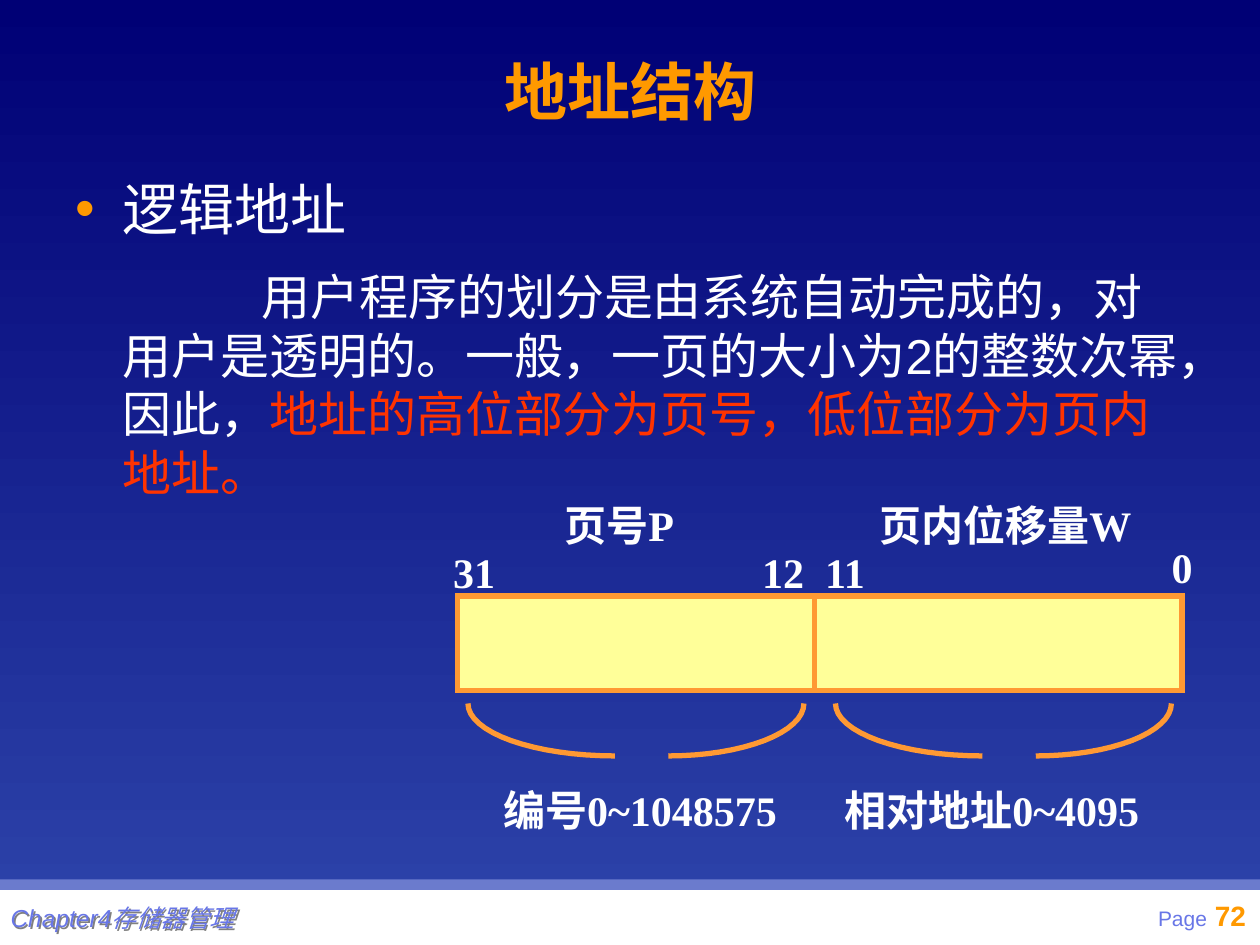
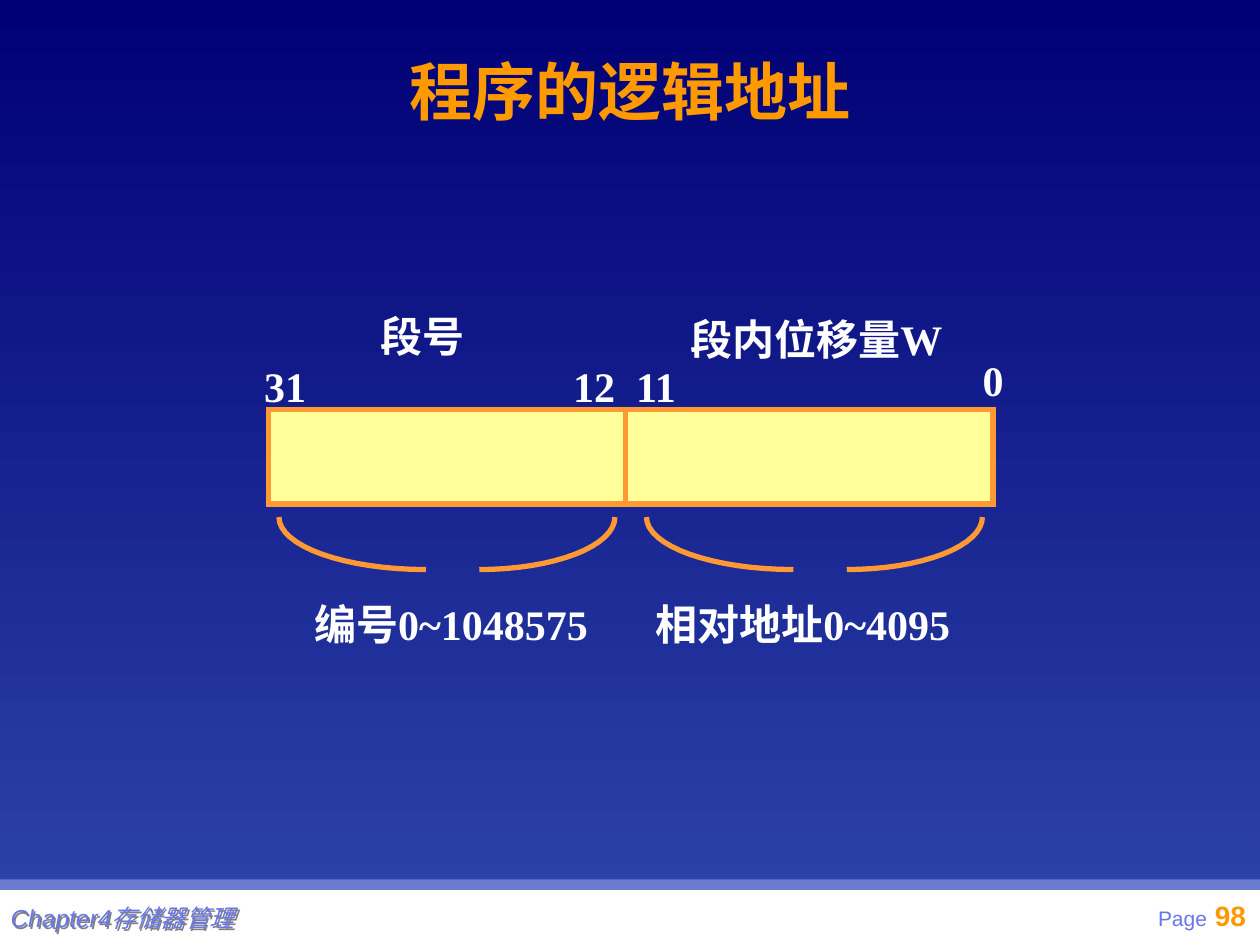
from dataclasses import dataclass
from math import cos, pi, sin

from lxml.etree import SubElement
from pptx import Presentation
from pptx.dml.color import RGBColor
from pptx.enum.shapes import MSO_CONNECTOR, MSO_SHAPE
from pptx.enum.text import MSO_ANCHOR, MSO_AUTO_SIZE, PP_ALIGN
from pptx.oxml.ns import qn
from pptx.util import Pt


@dataclass(frozen=True)
class Theme:
    sky_top: str = "000075"
    sky_bottom: str = "2E45AB"
    white: str = "FFFFFF"
    band: str = "6B7BCD"
    footer: str = "6876E7"
    shadow: str = "808080"
    accent: str = "FF9900"
    warning: str = "FF3300"
    bar: str = "FFFF99"
    outline: str = "FF9933"
    sans: str = "Arial"
    serif: str = "Times New Roman"
    chinese: str = "Noto Sans CJK SC"
    title_size: float = 36
    heading_size: float = 32
    body_size: float = 28
    label_size: float = 24
    page_size: float = 16
    chapter_size: float = 14
    small_size: float = 12
    line_width: float = 3


THEME = Theme()
WIDTH, HEIGHT = 720, 540

# Content
CHAPTER = "Chapter4存储器管理"
HEADING = "逻辑地址"
EXPLANATION = [
    ("用户程序的划分是由系统自动完成的，对用户是透明的。一般，一页的大小为2的整数次幂，因此，", THEME.white),
    ("地址的高位部分为页号，低位部分为页内地址。", THEME.warning),
]
# Diagram labels: text, left and top from the corner of the bar, width
BIT_NUMBERS = [("31", -9.5, -31.5, 38.4), ("12", 167, -31.5, 38.4),
               ("11", 203, -31.5, 38.4), ("0", 401, -34.5, 26.4)]
RANGES = [("编号0~1048575", 19, 104, 176.5), ("相对地址0~4095", 214, 104, 189)]
SLIDES = [
    {"title": "地址结构", "page": "72", "text": True, "bar": (261.4, 340.5),
     "fields": [("页号P", 54, -58.5, 83), ("页内位移量W", 234, -58.5, 164)]},
    {"title": "程序的逻辑地址", "page": "98", "text": False, "bar": (153.4, 234),
     "fields": [("段号", 57, -60, 62.4), ("段内位移量W", 234, -58.5, 164)]},
]

# Diagram measures, from the corner of the bar
BAR_WIDTH, BAR_HEIGHT, DIVIDER = 414, 54, 204
BRACE_STARTS = (6, 216)
BRACE_TOP, BRACE_HEIGHT = 61.5, 30
# Each half of a brace: centre from the brace start, signed radius
BRACE_HALVES = ((84, -84), (114.5, 77.5))
BRACE_STEPS = 16


def color(value):
    return RGBColor.from_string(value)


def style(span, size, fill, latin=THEME.sans, bold=False, italic=False):
    font = span.font
    font.size, font.bold, font.italic = Pt(size), bold, italic
    font.color.rgb = color(fill)
    font.name = latin
    SubElement(font._element, qn("a:ea"), typeface=THEME.chinese)


def add_span(para, text, *look, **more):
    span = para.add_run()
    span.text = text
    style(span, *look, **more)


def add_box(slide, left, top, width, height, margins=(7.2, 3.6)):
    box = slide.shapes.add_textbox(Pt(left), Pt(top), Pt(width), Pt(height))
    frame = box.text_frame
    frame.word_wrap = True
    frame.margin_left = frame.margin_right = Pt(margins[0])
    frame.margin_top = frame.margin_bottom = Pt(margins[1])
    return box


def add_rectangle(slide, left, top, width, height, fill, line=None):
    shape = slide.shapes.add_shape(
        MSO_SHAPE.RECTANGLE, Pt(left), Pt(top), Pt(width), Pt(height))
    shape.shadow.inherit = False
    shape.fill.solid()
    shape.fill.fore_color.rgb = color(fill)
    if line:
        set_line(shape, line)
    else:
        shape.line.fill.background()


def set_line(shape, line):
    shape.line.color.rgb = color(line)
    shape.line.width = Pt(THEME.line_width)
    SubElement(shape._element.spPr.find(qn("a:ln")), qn("a:miter"), lim="800000")


def set_background(master):
    fill = master.background.fill
    fill.gradient()
    fill.gradient_angle = 270
    for stop, value in zip(fill.gradient_stops, (THEME.sky_top, THEME.sky_bottom)):
        stop.color.rgb = color(value)


def add_footer(slide, page):
    add_rectangle(slide, 0, 507, WIDTH, 33, THEME.white)
    add_rectangle(slide, 0, 502.5, WIDTH, 6, THEME.band)

    para = add_box(slide, 455, 510, 264, 29).text_frame.paragraphs[0]
    para.alignment = PP_ALIGN.RIGHT
    para.line_spacing = Pt(19.2)
    add_span(para, "Page", THEME.small_size, THEME.footer)
    add_span(para, " ", THEME.page_size, THEME.accent)
    add_span(para, page, THEME.page_size, THEME.accent, bold=True)

    chapter = add_box(slide, 6, 516, 156, 17, margins=(0, 0))
    para = chapter.text_frame.paragraphs[0]
    para.line_spacing = Pt(17)
    add_span(para, CHAPTER, THEME.chapter_size, THEME.footer, italic=True)
    effects = SubElement(chapter._element.spPr, qn("a:effectLst"))
    shadow = SubElement(effects, qn("a:outerShdw"), dist=str(Pt(1.4)), dir="2700000")
    SubElement(shadow, qn("a:srgbClr"), val=THEME.shadow)


def set_title(slide, text):
    title = slide.shapes.title
    title.left, title.top, title.width, title.height = Pt(36), Pt(18), Pt(648), Pt(74)
    title.text_frame.text = text
    title.text_frame.vertical_anchor = MSO_ANCHOR.MIDDLE
    para = title.text_frame.paragraphs[0]
    para.alignment = PP_ALIGN.CENTER
    para.line_spacing = 0.85
    style(para.runs[0], THEME.title_size, THEME.accent, bold=True)


def set_indent(para, margin, first_line):
    properties = para._p.get_or_add_pPr()
    properties.set("marL", str(Pt(margin)))
    properties.set("indent", str(Pt(first_line)))
    return properties


def add_explanation(slide):
    frame = add_box(slide, 36, 95.8, 648, 387).text_frame

    heading = frame.paragraphs[0]
    heading.line_spacing, heading.space_after = Pt(38.8), Pt(14.6)
    properties = set_indent(heading, 27, -27)
    bullet_color = SubElement(properties, qn("a:buClr"))
    SubElement(bullet_color, qn("a:srgbClr"), val=THEME.accent)
    SubElement(properties, qn("a:buFont"), typeface=THEME.sans)
    SubElement(properties, qn("a:buChar"), char="•")
    add_span(heading, HEADING, THEME.heading_size, THEME.white)

    para = frame.add_paragraph()
    para.line_spacing = Pt(33.4)
    set_indent(para, 27, 79.4)
    for text, fill in EXPLANATION:
        add_span(para, text, THEME.body_size, fill)


def add_label(slide, text, left, top, width, line_height):
    frame = add_box(slide, left, top, width, 36).text_frame
    frame.word_wrap = False
    frame.auto_size = MSO_AUTO_SIZE.SHAPE_TO_FIT_TEXT
    para = frame.paragraphs[0]
    para.line_spacing = Pt(line_height)
    add_span(para, text, THEME.label_size, THEME.white, latin=THEME.serif, bold=True)


def add_brace_half(slide, center, top, radius):
    angles = [step * pi / 2 / BRACE_STEPS for step in range(BRACE_STEPS + 1)]
    points = [(Pt(center + radius * cos(angle)), Pt(top + BRACE_HEIGHT * sin(angle)))
              for angle in angles]
    builder = slide.shapes.build_freeform(*points[0])
    builder.add_line_segments(points[1:], close=False)
    curve = builder.convert_to_shape()
    curve.shadow.inherit = False
    curve.fill.background()
    set_line(curve, THEME.outline)


def add_address_diagram(slide, left, top, fields):
    # Bar and divider
    add_rectangle(slide, left, top, BAR_WIDTH, BAR_HEIGHT, THEME.bar, THEME.outline)
    middle = Pt(left + DIVIDER)
    divider = slide.shapes.add_connector(
        MSO_CONNECTOR.STRAIGHT, middle, Pt(top), middle, Pt(top + BAR_HEIGHT))
    set_line(divider, THEME.outline)
    SubElement(divider._element.spPr, qn("a:effectLst"))

    # Labels: lines with Chinese text are a little taller
    for labels, line_height in ((BIT_NUMBERS, 28.5), (fields + RANGES, 29)):
        for text, x, y, width in labels:
            add_label(slide, text, left + x, top + y, width, line_height)

    # Braces
    for start in BRACE_STARTS:
        for center, radius in BRACE_HALVES:
            add_brace_half(slide, left + start + center, top + BRACE_TOP, radius)


def main():
    deck = Presentation()
    deck.slide_width, deck.slide_height = Pt(WIDTH), Pt(HEIGHT)
    set_background(deck.slide_master)
    title_only = deck.slide_layouts.get_by_name("Title Only")
    for content in SLIDES:
        slide = deck.slides.add_slide(title_only)
        add_footer(slide, content["page"])
        set_title(slide, content["title"])
        if content["text"]:
            add_explanation(slide)
        add_address_diagram(slide, *content["bar"], content["fields"])
    deck.save("out.pptx")


if __name__ == "__main__":
    main()
